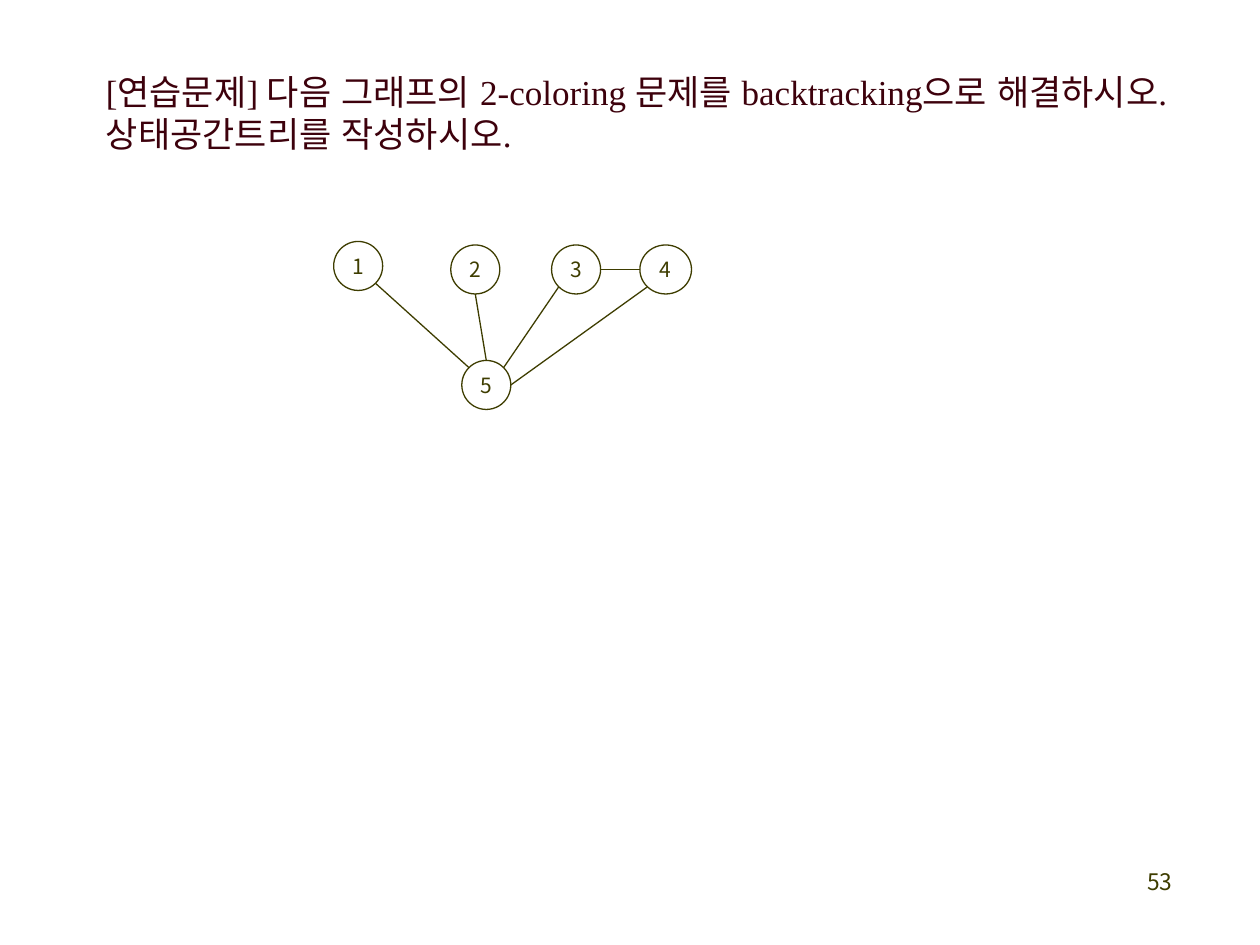
from dataclasses import dataclass
from itertools import cycle
from math import cos, radians, sin

from lxml.etree import SubElement
from pptx import Presentation
from pptx.dml.color import RGBColor
from pptx.enum.lang import MSO_LANGUAGE_ID
from pptx.enum.shapes import MSO_CONNECTOR, MSO_SHAPE
from pptx.enum.text import MSO_ANCHOR, PP_ALIGN
from pptx.oxml.ns import qn
from pptx.util import Pt

COLORS = {"title": "3D010C", "ink": "3E3D00"}
LATIN = "Times New Roman"
KOREAN = "Noto Sans CJK KR"
NODE_HEIGHT = 28
RIGHT, BOTTOM_RIGHT, BOTTOM, BOTTOM_LEFT = 0, 45, 90, 135
LEFT, TOP_LEFT, TOP, TOP_RIGHT = 180, 225, 270, 315


@dataclass
class Node:
    label: str
    x: float
    y: float
    width: float = NODE_HEIGHT

    def rim(self, angle):
        turn = radians(angle)
        return (Pt(self.x + self.width / 2 * cos(turn)),
                Pt(self.y + NODE_HEIGHT / 2 * sin(turn)))


@dataclass
class SlideBuilder:
    page: object
    line_width: float = 0.75

    def set_font(self, font, size, color):
        font.size = Pt(size)
        font.color.rgb = RGBColor.from_string(COLORS[color])

    def set_face(self, font, face):
        font.name = face
        SubElement(font._element, qn("a:ea"), typeface=face)

    def set_line(self, line):
        line.color.rgb = RGBColor.from_string(COLORS["ink"])
        line.width = Pt(self.line_width)

    def clear_margins(self, frame):
        frame.margin_left = frame.margin_right = 0
        frame.margin_top = frame.margin_bottom = 0

    def text(self, left, top, width, height, spans, size, color):
        box = self.page.shapes.add_textbox(Pt(left), Pt(top), Pt(width), Pt(height))
        frame = box.text_frame
        frame.word_wrap = True
        self.clear_margins(frame)
        para = frame.paragraphs[0]
        self.set_font(para.font, size, color)
        for words, face in spans:
            span = para.add_run()
            span.text = words
            self.set_face(span.font, face)
            if face == KOREAN:
                span.font.language_id = MSO_LANGUAGE_ID.KOREAN
        return para

    def node(self, node):
        circle = self.page.shapes.add_shape(
            MSO_SHAPE.OVAL, Pt(node.x - node.width / 2), Pt(node.y - NODE_HEIGHT / 2),
            Pt(node.width), Pt(NODE_HEIGHT))
        circle.shadow.inherit = False
        circle.fill.background()
        self.set_line(circle.line)
        frame = circle.text_frame
        frame.word_wrap = False
        frame.vertical_anchor = MSO_ANCHOR.MIDDLE
        self.clear_margins(frame)
        para = frame.paragraphs[0]
        para.text = node.label
        para.alignment = PP_ALIGN.CENTER
        self.set_font(para.font, 12, "ink")
        self.set_face(para.font, KOREAN)

    def edge(self, start, end):
        edge = self.page.shapes.add_connector(MSO_CONNECTOR.STRAIGHT, *start, *end)
        self.set_line(edge.line)
        SubElement(edge._element.spPr, qn("a:effectLst"))


def main():
    deck = Presentation()
    deck.slide_width, deck.slide_height = Pt(720), Pt(540)
    builder = SlideBuilder(deck.slides.add_slide(deck.slide_layouts[6]))

    title_parts = ["[", "연습문제", "] ", "다음 그래프의 ", "2-coloring ", "문제를 ",
                   "backtracking", "으로 해결하시오", ". ", "상태공간트리를 작성하시오", "."]
    title = builder.text(60.5, 40.5, 637, 50, zip(title_parts, cycle([LATIN, KOREAN])),
                         20, "title")
    title.space_before = Pt(1.1)

    nodes = [Node("1", 204.7, 152), Node("2", 271.6, 154), Node("3", 329.2, 154),
             Node("4", 380.4, 154, 29.5), Node("5", 277.9, 220)]
    for node in nodes:
        builder.node(node)

    one, two, three, four, five = nodes
    edges = [(one, BOTTOM_RIGHT, five, TOP_LEFT), (two, BOTTOM, five, TOP),
             (three, BOTTOM_LEFT, five, TOP_RIGHT), (four, BOTTOM_LEFT, five, RIGHT),
             (three, RIGHT, four, LEFT)]
    for start, start_angle, end, end_angle in edges:
        builder.edge(start.rim(start_angle), end.rim(end_angle))

    number = builder.text(655.5, 496.8, 20, 15, [("53", KOREAN)], 13, "ink")
    number.line_spacing = Pt(14.7)

    deck.save("out.pptx")


if __name__ == "__main__":
    main()
